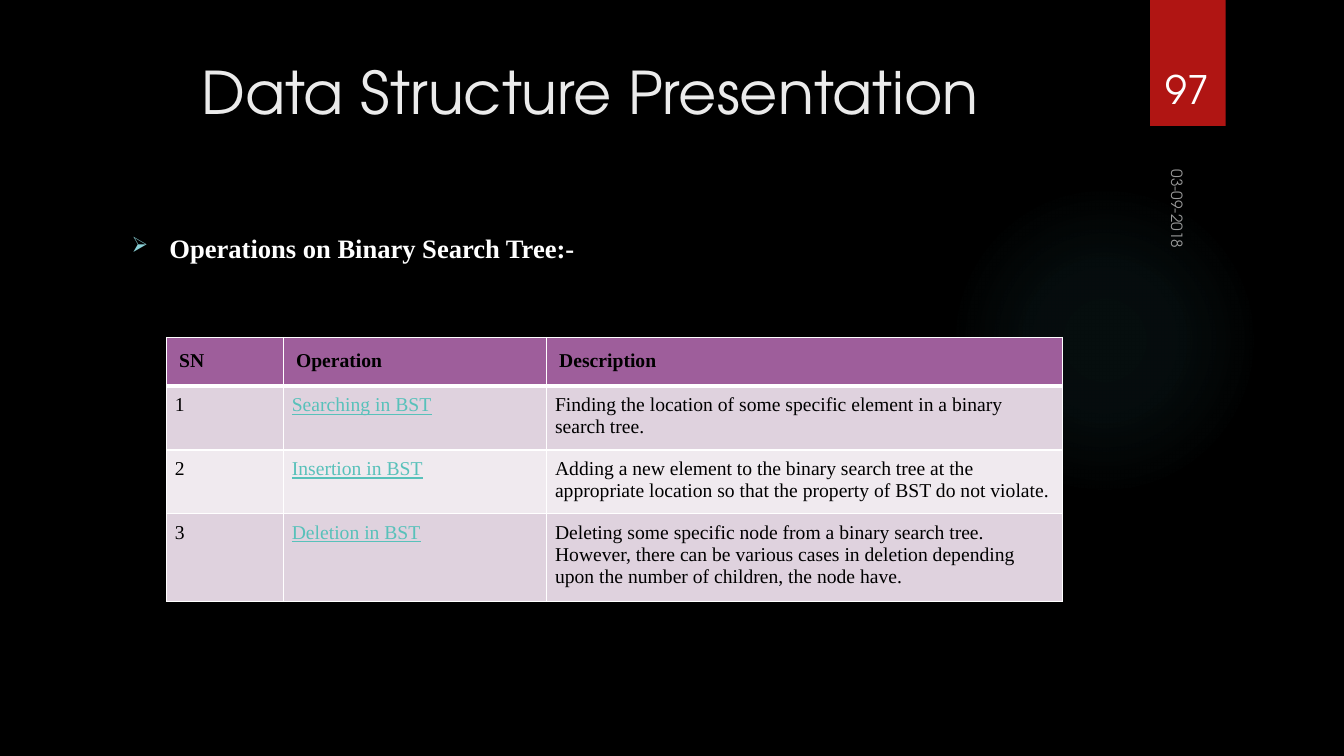
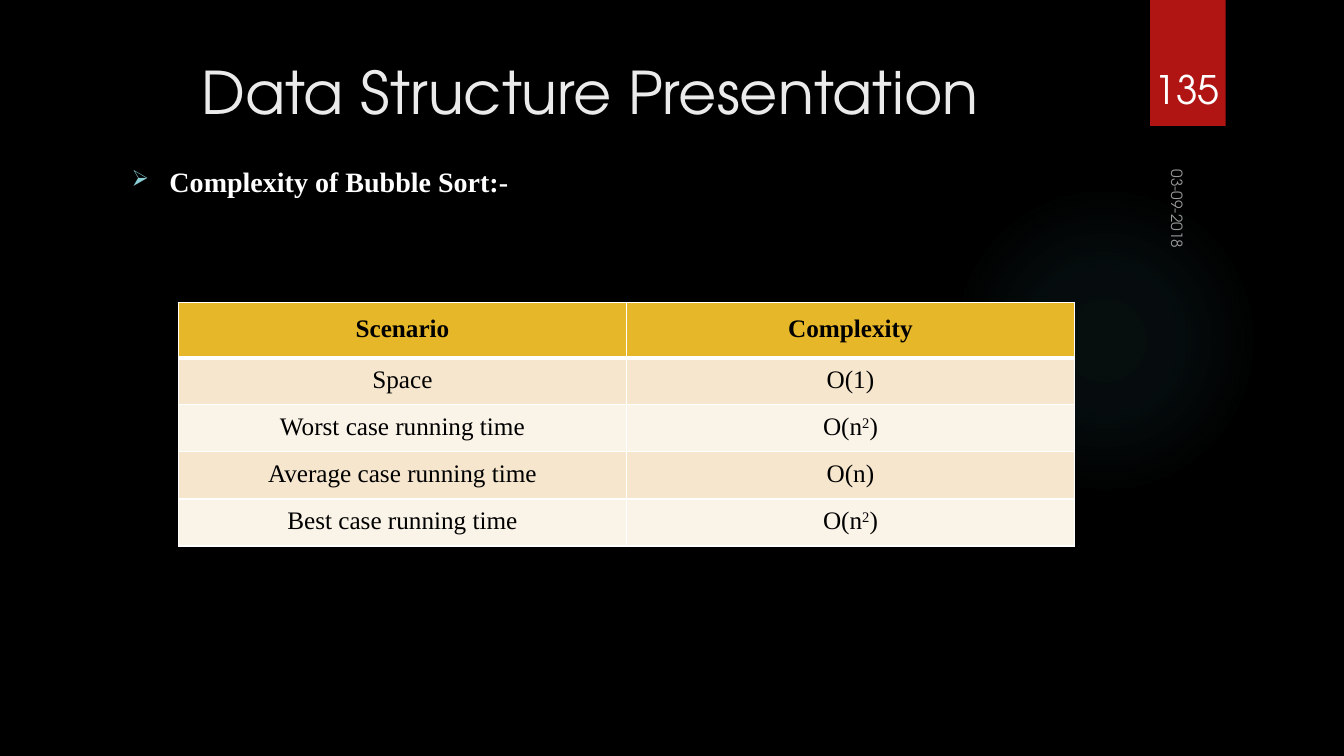
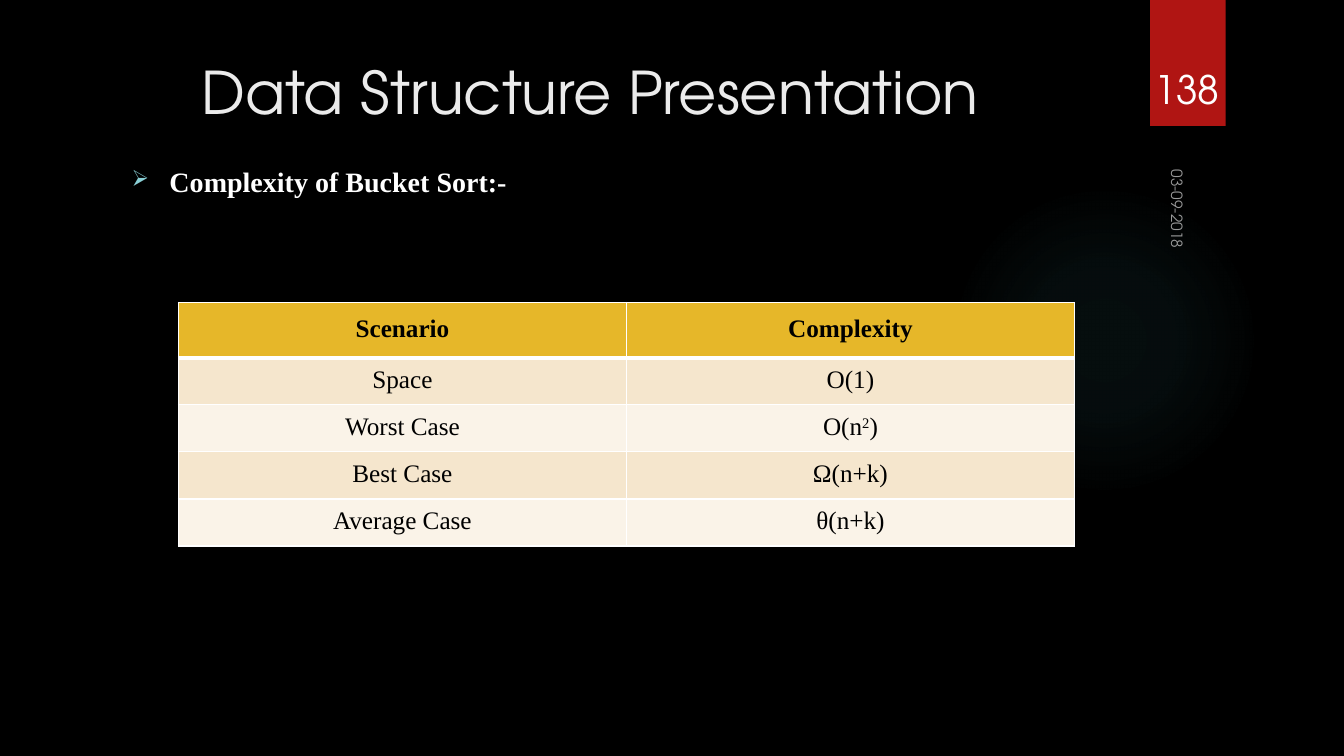
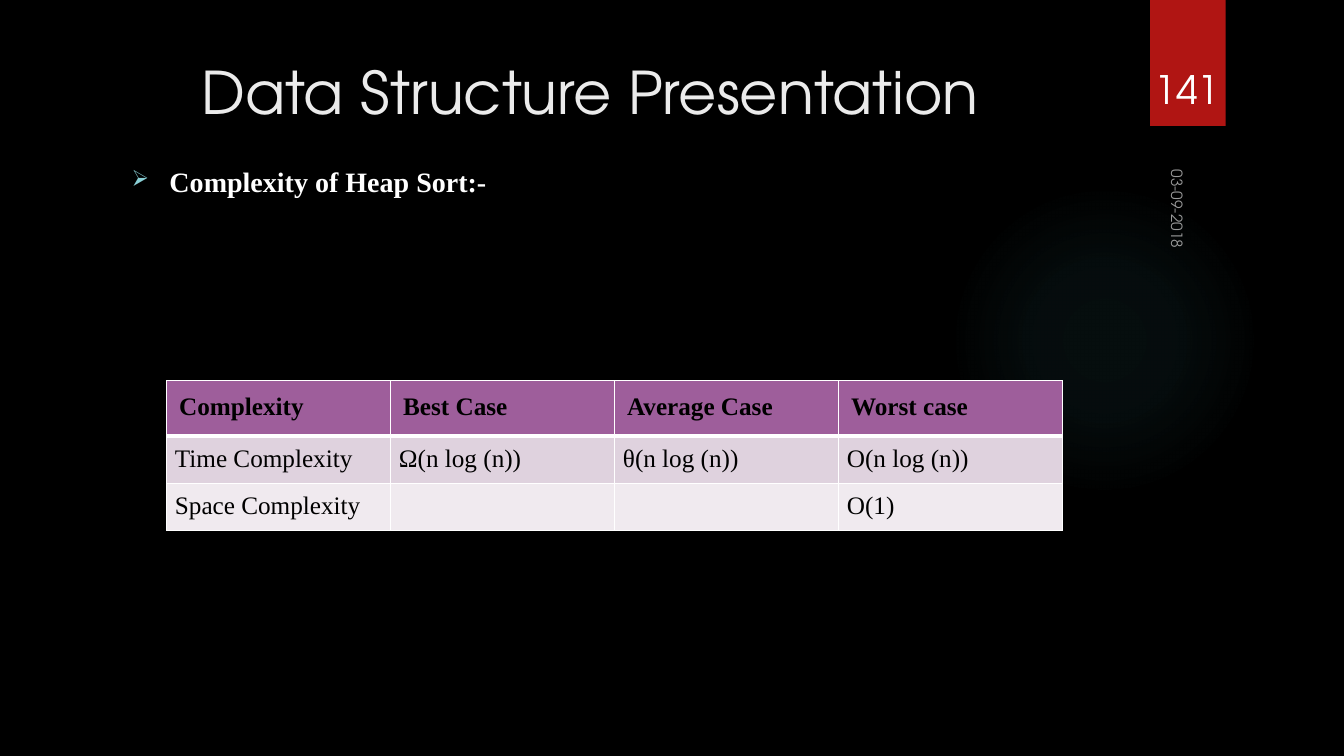
"""Build four data structure slides, each with a heading and a table."""
from lxml import etree
from pptx import Presentation
from pptx.dml.color import RGBColor
from pptx.enum.shapes import MSO_SHAPE
from pptx.enum.text import MSO_ANCHOR, PP_ALIGN
from pptx.oxml.ns import qn
from pptx.util import Pt

OVAL, RECT = MSO_SHAPE.OVAL, MSO_SHAPE.RECTANGLE
LEFT, MID = PP_ALIGN.LEFT, PP_ALIGN.CENTER
TOP, BASE = MSO_ANCHOR.TOP, MSO_ANCHOR.BOTTOM


class Theme:
    sans, serif = "TeX Gyre Adventor", "Times New Roman"
    back, ink, white = "000000", "000000", "FFFFFF"
    title, flag, glow = "EBEBEB", "B01513", "50B9C1"
    mark, link = "8AD0D6", "58C1BA"
    plum = ("9E5E9B", "DFD2DE", "F0EAEF")
    gold = ("E6B729", "F5E6CD", "FAF3E8")
    big, page, small = 42, 28, 11
    thin, thick = 1, 3
    row, pad, head_pad = 29.5, 6, 9


TITLE = "Data Structure Presentation"
DATE = "03-09-2018"
GLOW = ((0, 7), (36, 6), (69, 0))

SLIDES = [
    dict(page="97", head="Operations on Binary Search Tree:-", size=19,
         body=(162, 330), at=(119, 241), cols=(83.5, 188, 368.5),
         tint=Theme.plum, text=14, align=LEFT, link=1, rows=[
             ("SN", "Operation", "Description"),
             ("1", "Searching in BST",
              "Finding the location of some specific element in a binary search tree."),
             ("2", "Insertion in BST",
              "Adding a new element to the binary search tree at the appropriate "
              "location so that the property of BST do not violate."),
             ("3", "Deletion in BST",
              "Deleting some specific node from a binary search tree. However, there "
              "can be various cases in deletion depending upon the number of "
              "children, the node have."),
         ]),
    dict(page="135", head="Complexity of Bubble Sort:-", size=20,
         body=(114, 405), at=(127.5, 216), cols=(320,) * 2,
         tint=Theme.gold, text=18, align=MID, link=None, rows=[
             ("Scenario", "Complexity"),
             ("Space", "O(1)"),
             ("Worst case running time", "O(n^2)"),
             ("Average case running time", "O(n)"),
             ("Best case running time", "O(n^2)"),
         ]),
    dict(page="138", head="Complexity of Bucket Sort:-", size=20,
         body=(114, 405), at=(127.5, 216), cols=(320,) * 2,
         tint=Theme.gold, text=18, align=MID, link=None, rows=[
             ("Scenario", "Complexity"),
             ("Space", "O(1)"),
             ("Worst Case", "O(n^2)"),
             ("Best Case", "Ω(n+k)"),
             ("Average Case", "θ(n+k)"),
         ]),
    dict(page="141", head="Complexity of Heap Sort:-", size=20,
         body=(114, 405), at=(119, 272), cols=(160,) * 4,
         tint=Theme.plum, text=18, align=LEFT, link=None, rows=[
             ("Complexity", "Best Case", "Average Case", "Worst case"),
             ("Time Complexity", "Ω(n log (n))", "θ(n log (n))", "O(n log (n))"),
             ("Space Complexity", "", "", "O(1)"),
         ]),
]


def add(node, tag, **attrs):
    """Append a child element with the given attributes."""
    return etree.SubElement(node, qn("a:" + tag), {k: str(v) for k, v in attrs.items()})


def paint(fill, color):
    """Give a fill one solid colour."""
    fill.solid()
    fill.fore_color.rgb = RGBColor.from_string(color)


def style(para, size, face, color, bold=False):
    """Set the font of a whole paragraph."""
    font = para.font
    font.size, font.name, font.bold = Pt(size), face, bold
    font.color.rgb = RGBColor.from_string(color)


def shape(slide, kind, box):
    """Add a plain shape with no line or shadow."""
    item = slide.shapes.add_shape(kind, *map(Pt, box))
    item.shadow.inherit = False
    item.line.fill.background()
    return item


def label(slide, box, text, align=LEFT, anchor=TOP):
    """Add a text box and return it with its paragraph."""
    item = slide.shapes.add_textbox(*map(Pt, box))
    frame = item.text_frame
    frame.word_wrap, frame.vertical_anchor = True, anchor
    para = frame.paragraphs[0]
    para.text, para.alignment = text, align
    return item, para


def halo(slide):
    """Add the soft round glow."""
    item = shape(slide, OVAL, (678, 132, 222, 222))
    item.fill.background()
    props = item.fill._xPr
    old = props.find(qn("a:noFill"))
    grad = etree.Element(qn("a:gradFill"), rotWithShape="1")
    stops = add(grad, "gsLst")
    for pos, alpha in GLOW:
        color = add(add(stops, "gs", pos=pos * 1000), "srgbClr", val=Theme.glow)
        add(color, "alpha", val=alpha * 1000)
    add(add(grad, "path", path="circle"), "fillToRect", l=50000, t=50000, r=50000, b=50000)
    props.replace(old, grad)


def frame(slide, page):
    """Add the parts that all slides share."""
    paint(slide.background.fill, Theme.back)
    halo(slide)
    paint(shape(slide, RECT, (821.5, 0, 54, 90)).fill, Theme.flag)
    para = label(slide, (51, 36, 741, 110), TITLE, MID)[1]
    style(para, Theme.big, Theme.sans, Theme.title)
    date, para = label(slide, (800, 141, 78, 24), DATE)
    date.rotation = 90
    style(para, Theme.small, Theme.sans, Theme.white)
    add(next(para._p.iter(qn("a:srgbClr"))), "alpha", val=60000)
    para = label(slide, (815, 23, 66, 60.5), page, MID, BASE)[1]
    style(para, Theme.page, Theme.sans, Theme.white)


def heading(slide, text, size, top, height):
    """Add the bulleted heading."""
    para = label(slide, (87, top, 704, height), text)[1]
    props = para._p.get_or_add_pPr()
    props.set("marL", str(Pt(27)))
    props.set("indent", str(-Pt(27)))
    add(add(props, "buClr"), "srgbClr", val=Theme.mark)
    add(props, "buSzPct", val=80000)
    add(props, "buChar", char="➢")
    style(para, size, Theme.serif, Theme.white, True)


def write(para, text):
    """Write text in which a caret raises the next character."""
    first, *rest = text.split("^")
    if first:
        para.add_run().text = first
    for part in rest:
        power = para.add_run()
        power.text = part[0]
        power._r.get_or_add_rPr().set("baseline", "30000")
        para.add_run().text = part[1:]


def border(cell, row):
    """Draw white cell borders, thick below the header."""
    wide = {("lnB", 0), ("lnT", 1)}
    for side in ("lnL", "lnR", "lnT", "lnB"):
        width = Theme.thick if (side, row) in wide else Theme.thin
        line = add(cell._tc.get_or_add_tcPr(), side, w=Pt(width))
        add(add(line, "solidFill"), "srgbClr", val=Theme.white)


def grid(slide, data):
    """Add the table."""
    rows, cols = data["rows"], data["cols"]
    size = (sum(cols), Theme.row * len(rows))
    table = slide.shapes.add_table(len(rows), len(cols), *map(Pt, data["at"] + size)).table
    for col, width in zip(table.columns, cols):
        col.width = Pt(width)
    for r, row in enumerate(rows):
        tone = data["tint"][0 if r == 0 else 2 - r % 2]
        pad = Pt(Theme.pad if r else Theme.head_pad)
        for c, text in enumerate(row):
            cell = table.cell(r, c)
            border(cell, r)
            paint(cell.fill, tone)
            cell.margin_left = cell.margin_right = pad
            cell.margin_top = cell.margin_bottom = pad
            para = cell.text_frame.paragraphs[0]
            para.alignment = data["align"]
            linked = r > 0 and c == data["link"]
            color = Theme.link if linked else Theme.ink
            style(para, data["text"], Theme.serif, color, r == 0)
            para.font.underline = linked
            write(para, text)


def main():
    """Build and save the deck."""
    deck = Presentation()
    deck.slide_width, deck.slide_height = Pt(960), Pt(540)
    for data in SLIDES:
        slide = deck.slides.add_slide(deck.slide_layouts[6])
        frame(slide, data["page"])
        heading(slide, data["head"], data["size"], *data["body"])
        grid(slide, data)
    deck.save("out.pptx")


if __name__ == "__main__":
    main()
